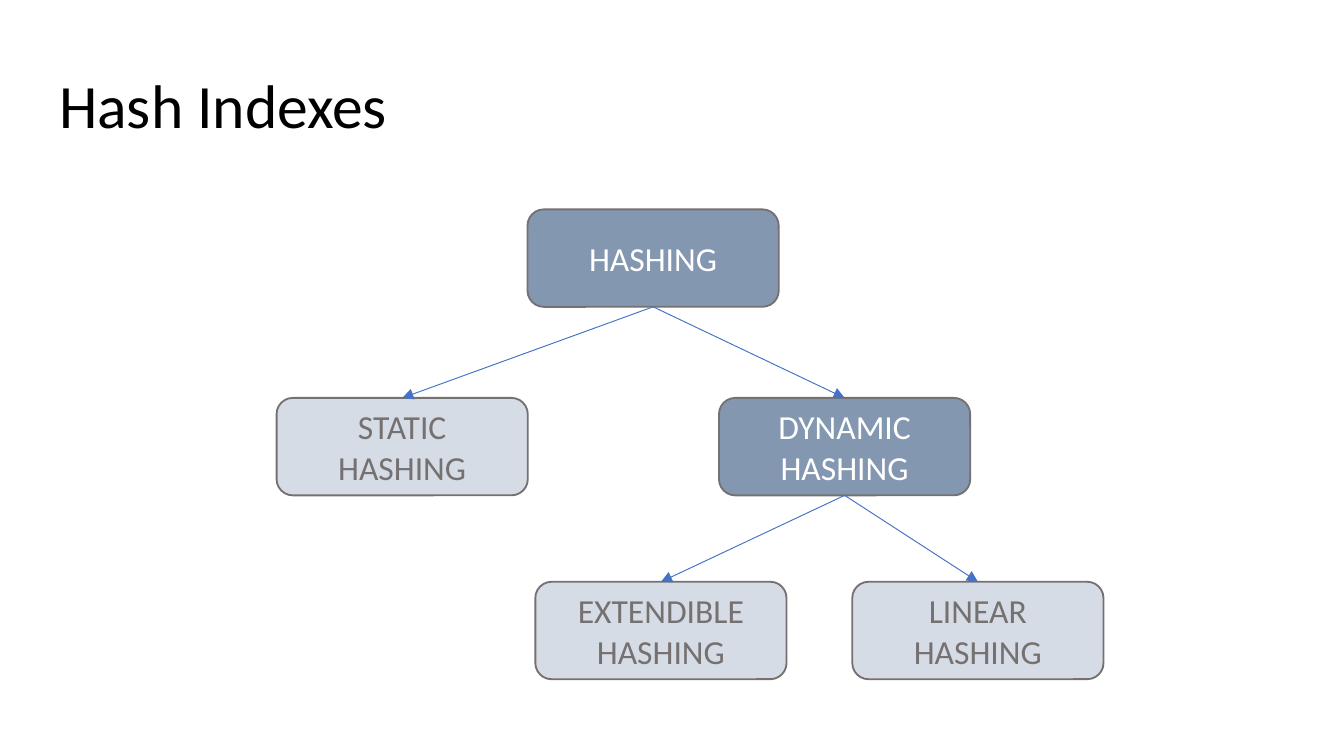
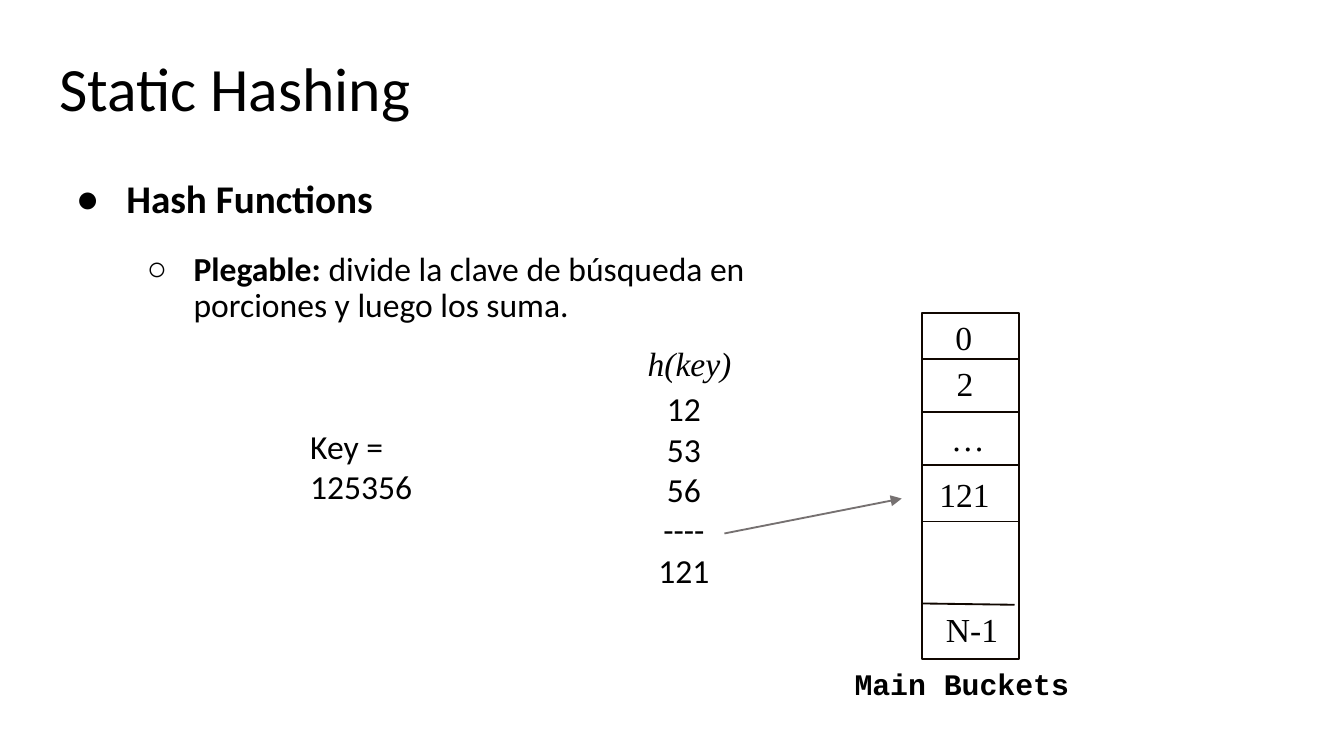
from lxml import etree
from pptx import Presentation
from pptx.dml.color import RGBColor
from pptx.enum.shapes import MSO_CONNECTOR, MSO_SHAPE
from pptx.enum.text import MSO_ANCHOR, MSO_AUTO_SIZE, PP_ALIGN
from pptx.oxml.ns import qn
from pptx.util import Pt

LEFT, CENTER = PP_ALIGN.LEFT, PP_ALIGN.CENTER
TOP, MIDDLE = MSO_ANCHOR.TOP, MSO_ANCHOR.MIDDLE
NO_FIT = MSO_AUTO_SIZE.NONE
STRAIGHT = MSO_CONNECTOR.STRAIGHT
ROUNDED = MSO_SHAPE.ROUNDED_RECTANGLE

SANS, SERIF, MONO = "Calibri", "Times New Roman", "Courier New"
BLACK, WHITE, GRAY = "000000", "FFFFFF", "767171"
DARK, LIGHT, BLUE, INK = "8497B0", "D6DCE5", "4472C4", "100700"
BOTTOM_SIDE, TOP_SIDE = 2, 0


def rgb(value):
    return RGBColor.from_string(value)


def add_run(p, text, size, color=BLACK, font=SANS, bold=False, italic=False):
    r = p.add_run()
    r.text = text
    r.font.name, r.font.size = font, Pt(size)
    r.font.bold, r.font.italic = bold, italic
    r.font.color.rgb = rgb(color)


def set_frame(tf, inset_y=3.6, anchor=TOP, wrap=True):
    tf.auto_size, tf.word_wrap, tf.vertical_anchor = NO_FIT, wrap, anchor
    tf.margin_left = tf.margin_right = Pt(7.2)
    tf.margin_top = tf.margin_bottom = Pt(inset_y)


def move(sp, left, top, width, height):
    sp.left, sp.top, sp.width, sp.height = Pt(left), Pt(top), Pt(width), Pt(height)


def add_text(slide, box, lines, size=18, align=LEFT, wrap=True, **style):
    tf = slide.shapes.add_textbox(*map(Pt, box)).text_frame
    set_frame(tf, wrap=wrap)
    for i, line in enumerate(lines):
        p = tf.add_paragraph() if i else tf.paragraphs[0]
        p.alignment = align
        add_run(p, line, size, **style)


def add_line(slide, start, end, color, width=1, arrow=False):
    line = slide.shapes.add_connector(STRAIGHT, *map(Pt, (*start, *end)))
    line.line.color.rgb = rgb(color)
    line.line.width = Pt(width)
    if arrow:
        ln = line.line._get_or_add_ln()
        etree.SubElement(ln, qn("a:tailEnd"), type="triangle")
    etree.SubElement(line._element.spPr, qn("a:effectLst"))
    return line


def add_title(slide, text, top):
    title = slide.shapes.title
    move(title, 24.5, top, 671, 55.5)
    set_frame(title.text_frame, inset_y=7.2)
    p = title.text_frame.paragraphs[0]
    p.alignment, p.line_spacing = LEFT, 0.9
    add_run(p, text, 33)


# Tree of hashing kinds
def add_node(slide, left, top, text, active):
    sp = slide.shapes.add_shape(ROUNDED, *map(Pt, (left, top, 134.6, 52.2)))
    sp.shadow.inherit = False
    sp.fill.solid()
    sp.fill.fore_color.rgb = rgb(DARK if active else LIGHT)
    sp.line.color.rgb = rgb(GRAY)
    sp.line.width = Pt(1)
    set_frame(sp.text_frame, anchor=MIDDLE)
    p = sp.text_frame.paragraphs[0]
    p.alignment = CENTER
    add_run(p, text, 18, WHITE if active else GRAY)
    return sp


def add_tree(slide, left, top):
    levels = (0, 101, 199.5)
    nodes = [add_node(slide, left + x, top + levels[level], text, active)
             for x, level, text, active in (
                 (134.4, 0, "HASHING", True),
                 (0, 1, "STATIC HASHING", False),
                 (237, 1, "DYNAMIC HASHING", True),
                 (138.6, 2, "EXTENDIBLE HASHING", False),
                 (308.4, 2, "LINEAR HASHING", False))]
    for parent, child in ((0, 1), (0, 2), (2, 3), (2, 4)):
        line = add_line(slide, (0, 0), (0, 0), BLUE, 0.5, arrow=True)
        line.begin_connect(nodes[parent], BOTTOM_SIDE)
        line.end_connect(nodes[child], TOP_SIDE)


def build_index_slide(prs):
    slide = prs.slides.add_slide(prs.slide_layouts[5])
    add_title(slide, "Hash Indexes", 33)
    add_tree(slide, 148.2, 112.2)


# Bulleted list
def format_bullet(p, char, margin, indent, before):
    pPr = p._p.get_or_add_pPr()
    pPr.set("marL", str(Pt(margin)))
    pPr.set("indent", str(Pt(indent)))
    etree.SubElement(pPr, qn("a:buChar"), char=char)
    p.alignment, p.line_spacing = LEFT, 0.9
    p.space_before = Pt(before)


def add_function_list(slide, box):
    body = slide.placeholders[1]
    move(body, *box)
    tf = body.text_frame
    set_frame(tf, inset_y=7.2)
    p = tf.paragraphs[0]
    format_bullet(p, "●", 36, -27, 0)
    add_run(p, "Hash Functions", 21, bold=True)
    p = tf.add_paragraph()
    p.level = 1
    format_bullet(p, "○", 72, -25, 16)
    add_run(p, "Plegable: ", 18, bold=True)
    add_run(p, "divide la clave de búsqueda en porciones y luego los suma.", 18)


# Folding of the key
def add_folding(slide, left, top):
    add_text(slide, (left, top + 44.6, 105.8, 24.5), ["Key = 125356"])
    add_text(slide, (left + 185, top + 24.5, 44.6, 92),
             ["12", "53", "56", "----", "121"], align=CENTER)
    add_text(slide, (left + 180.8, top, 59.8, 28.8), ["h(key)"],
             wrap=False, font=SERIF, italic=True)
    add_line(slide, (left + 229, top + 105.8), (left + 324, top + 87.1),
             GRAY, arrow=True)


# Column of buckets
def add_buckets(slide, left, top, width, height):
    outline = slide.shapes.build_freeform(Pt(left), Pt(top + height))
    outline.add_line_segments(
        [(Pt(left), Pt(top)), (Pt(left + width), Pt(top)),
         (Pt(left + width), Pt(top + height))], close=True)
    sp = outline.convert_to_shape()
    sp.shadow.inherit = False
    sp.fill.background()
    sp.line.color.rgb = rgb(INK)
    sp.line.width = Pt(1)

    for y in (24.7, 52.8, 81.5, 111.6):
        add_line(slide, (left, top + y), (left + width, top + y), INK)
    add_line(slide, (left, top + 155.5), (left + width - 2.2, top + 156.2), INK)

    for label, x, y, w in (("0", 10.8, -1.4, 23.8), ("2", 11.5, 23, 23.8),
                           ("…", 8.6, 52.6, 32.4), ("121", 2.2, 82.8, 41.8),
                           ("N-1", 5.8, 154.8, 42.5)):
        add_text(slide, (left + x, top + y, w, 28.8), [label],
                 wrap=False, font=SERIF)
    add_text(slide, (left + width / 2 - 97, top + height, 185, 26.6),
             ["Main Buckets"], 16, CENTER, font=MONO, bold=True)


def build_static_slide(prs):
    slide = prs.slides.add_slide(prs.slide_layouts[1])
    add_title(slide, "Static Hashing", 23.8)
    add_function_list(slide, (24.5, 89.3, 416, 291.6))
    add_folding(slide, 159.1, 180)
    add_buckets(slide, 493.9, 167.8, 51.8, 185.4)


def main():
    prs = Presentation()
    prs.slide_width, prs.slide_height = Pt(720), Pt(405)
    build_index_slide(prs)
    build_static_slide(prs)
    prs.save("out.pptx")


if __name__ == "__main__":
    main()
